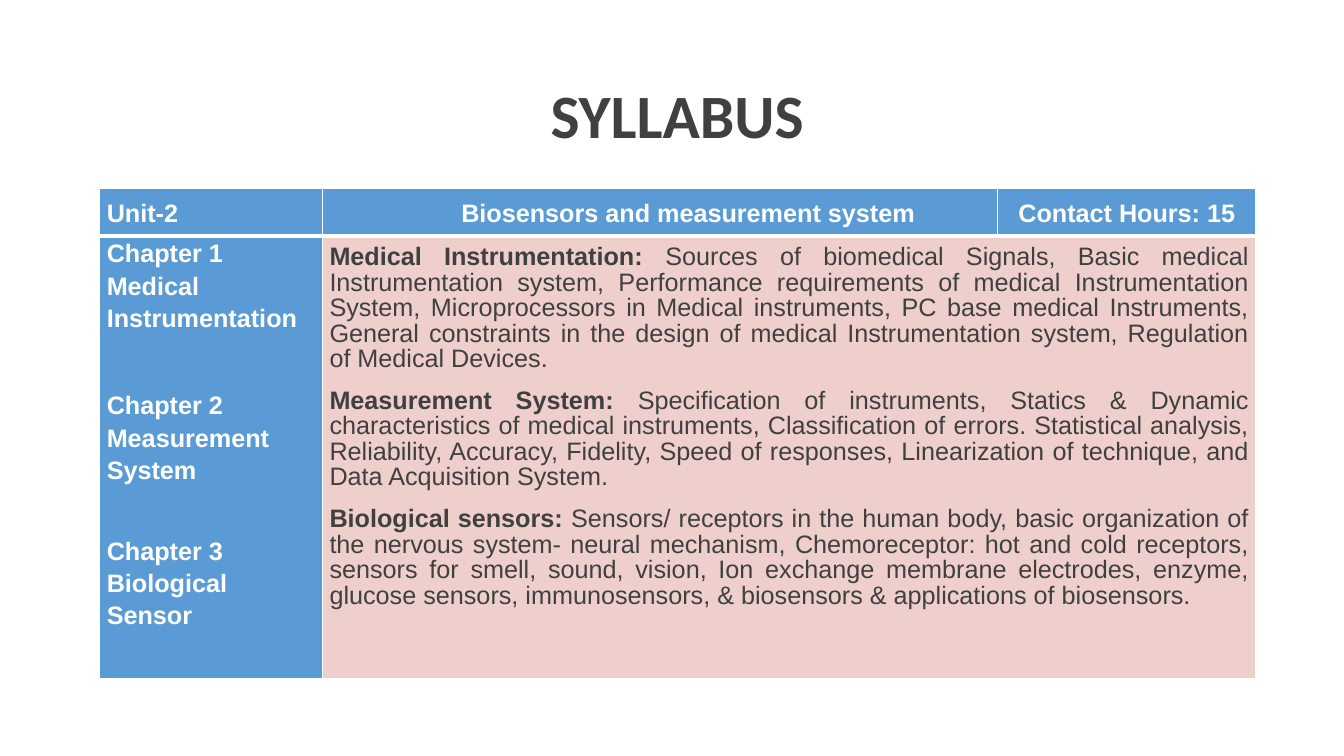
from dataclasses import dataclass

from lxml.etree import SubElement as Sub
from pptx import Presentation
from pptx.dml.color import RGBColor as Rgb
from pptx.enum.text import MSO_ANCHOR as Anchor, PP_ALIGN as Align
from pptx.oxml.ns import qn
from pptx.util import Pt

HEX = {"blue": "5B9BD5", "pink": "EFCFCC", "white": "FFFFFF", "dark": "404040"}


@dataclass
class Head:
    text: str
    align: Align
    left: float = 5


@dataclass
class Topic:
    name: str
    gap: float  # space below the chapter name
    label: str
    text: str


HEADS = [
    Head("Unit-2", Align.LEFT),
    Head("Biosensors and measurement system", Align.CENTER, 45),
    Head("Contact Hours: 15", Align.CENTER),
]
TOPICS = [
    Topic("Medical Instrumentation", 39.2, "Medical Instrumentation: ",
          "Sources of biomedical Signals, Basic medical Instrumentation system, "
          "Performance requirements of medical Instrumentation System, "
          "Microprocessors in Medical instruments, PC base medical Instruments, "
          "General constraints in the design of medical Instrumentation system, "
          "Regulation of Medical Devices."),
    Topic("Measurement System", 34.2, "Measurement System: ",
          "Specification of instruments, Statics & Dynamic characteristics of "
          "medical instruments, Classification of errors. Statistical analysis, "
          "Reliability, Accuracy, Fidelity, Speed of responses, Linearization of "
          "technique, and Data Acquisition System."),
    Topic("Biological Sensor", 0, "Biological sensors: ",
          "Sensors/ receptors in the human body, basic organization of the nervous "
          "system- neural mechanism, Chemoreceptor: hot and cold receptors, sensors "
          "for smell, sound, vision, Ion exchange membrane electrodes, enzyme, "
          "glucose sensors, immunosensors, & biosensors & applications of biosensors."),
]
COLS = [159.1, 482.4, 184.3]
ROWS = [33.8, 316.1]


def style(run, tint: str, bold: bool, face: str = "Arial", size: float = 18) -> None:
    font = run.font
    font.name, font.size, font.bold = face, Pt(size), bold
    font.color.rgb = Rgb.from_string(HEX[tint])


def space(para, align: Align, line: float, after: float) -> None:
    para.alignment, para.line_spacing = align, line
    para.space_after = Pt(after)


def dress(cell, tint: str, top: float, base: float, left: float = 5, head: float = 0) -> None:
    """Set margins, white borders and fill; top and base are border widths."""
    cell.margin_left, cell.margin_right = Pt(left), Pt(5)
    cell.margin_top, cell.margin_bottom = Pt(head), Pt(0)
    props = cell._tc.get_or_add_tcPr()
    for side, width in zip("LRTB", (1, 1, top, base)):
        edge = Sub(props, qn(f"a:ln{side}"), w=str(Pt(width)))
        Sub(Sub(edge, qn("a:solidFill")), qn("a:srgbClr"), val=HEX["white"])
    cell.fill.solid()
    cell.fill.fore_color.rgb = Rgb.from_string(HEX[tint])


def add_para(frame, first: bool):
    return frame.paragraphs[0] if first else frame.add_paragraph()


def draw_title(slide) -> None:
    title = slide.shapes.title
    title.left, title.top = Pt(89.3), Pt(46.8)
    title.width, title.height = Pt(789.1), Pt(75.6)
    frame = title.text_frame
    frame.text = "SYLLABUS"
    frame.vertical_anchor = Anchor.MIDDLE
    para = frame.paragraphs[0]
    space(para, Align.CENTER, 0.9, 0)
    style(para.runs[0], "dark", True, "Calibri", 44)


def draw_table(slide) -> None:
    table = slide.shapes.add_table(2, 3, Pt(71.3), Pt(134.6),
                                   Pt(sum(COLS)), Pt(sum(ROWS))).table
    for col, width in zip(table.columns, COLS):
        col.width = Pt(width)
    for row, height in zip(table.rows, ROWS):
        row.height = Pt(height)

    # Header row
    for cell, head in zip(table.rows[0].cells, HEADS):
        dress(cell, "blue", 1, 3, head.left)
        cell.vertical_anchor = Anchor.MIDDLE
        cell.text_frame.text = head.text
        para = cell.text_frame.paragraphs[0]
        space(para, head.align, 1.15, 10)
        style(para.runs[0], "white", True)

    # Chapter names beside their topics
    names, body = table.cell(1, 0), table.cell(1, 1)
    body.merge(table.cell(1, 2))
    dress(names, "blue", 3, 1)
    dress(body, "pink", 3, 1, head=7)
    for num, topic in enumerate(TOPICS, 1):
        for text, gap in ((f"Chapter {num}", 0), (topic.name, topic.gap)):
            para = add_para(names.text_frame, num == 1 and gap == 0)
            para.text = text
            space(para, Align.JUSTIFY, 1.15, gap)
            style(para.runs[0], "white", True)
        para = add_para(body.text_frame, num == 1)
        space(para, Align.JUSTIFY, 0.9, 12)
        for text, bold in ((topic.label, True), (topic.text, False)):
            run = para.add_run()
            run.text = text
            style(run, "dark", bold)


def main() -> None:
    deck = Presentation()
    deck.slide_width, deck.slide_height = Pt(960), Pt(540)
    slide = deck.slides.add_slide(deck.slide_layouts[5])
    draw_title(slide)
    draw_table(slide)
    deck.save("out.pptx")


if __name__ == "__main__":
    main()
